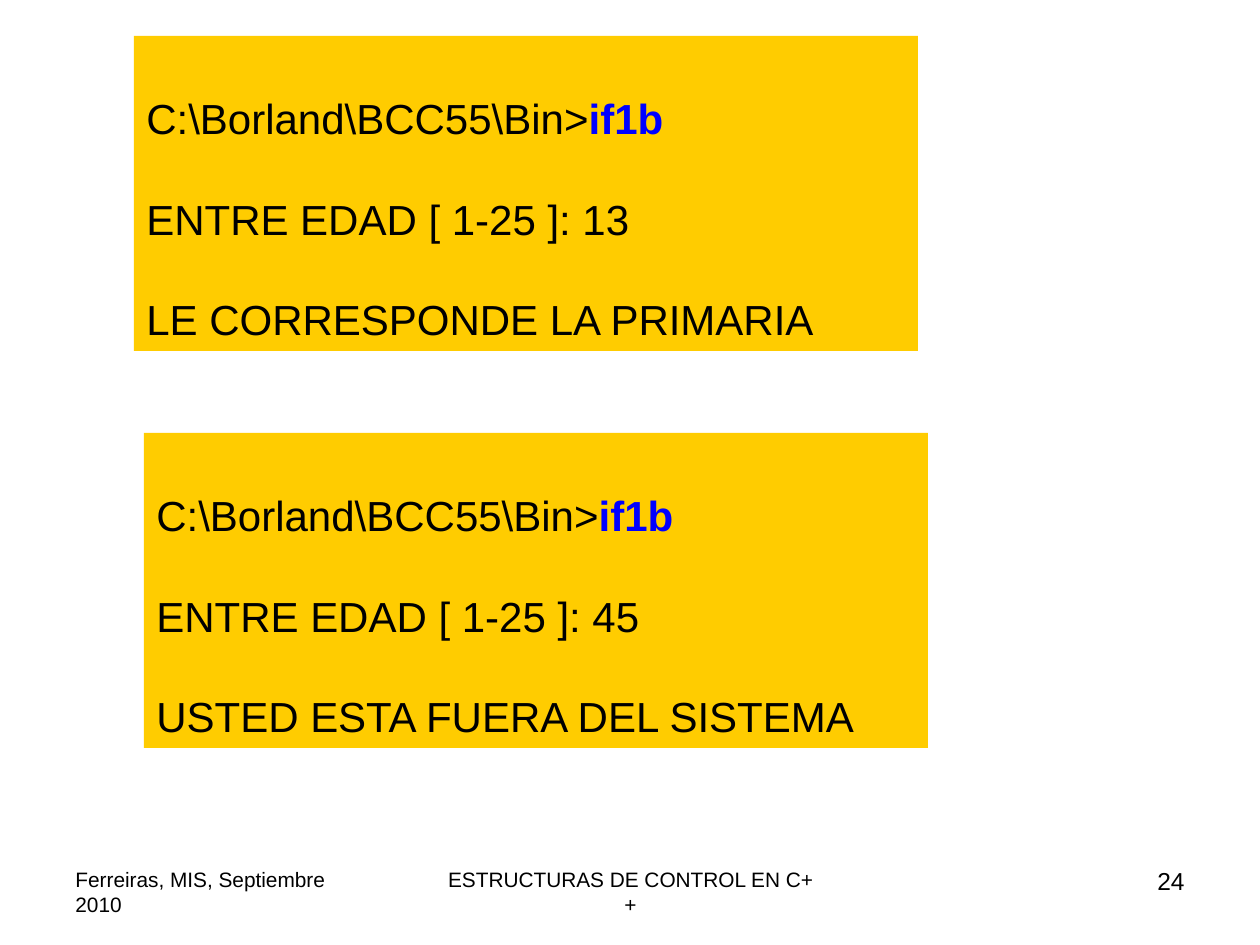
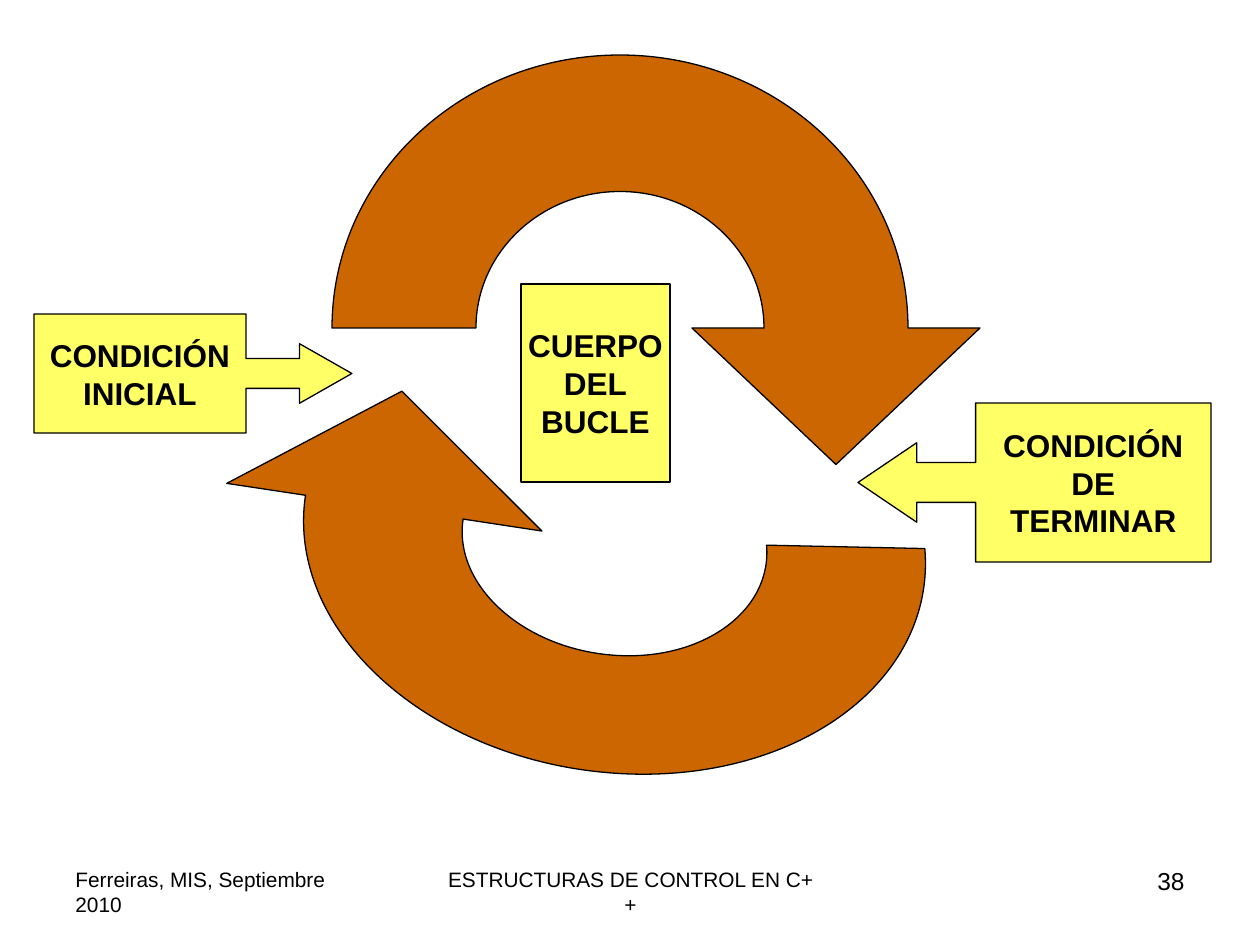
from dataclasses import dataclass
from math import cos, radians, sin, tan

from lxml.etree import SubElement
from pptx import Presentation
from pptx.dml.color import RGBColor
from pptx.enum.shapes import MSO_SHAPE as Shape
from pptx.enum.text import MSO_ANCHOR as Anchor, PP_ALIGN as Align
from pptx.oxml.ns import qn
from pptx.util import Pt

PX = 914400 / 126
FONT = "Arial"
COLORS = {
    "text": "000000",
    "command": "0000FF",
    "console": "FFCC00",
    "cycle": "CC6600",
    "callout": "FFFF66",
    "outline": "000000",
}
FOOTER_TOP, FOOTER_HEIGHT = 860, 66
PROMPT = r"C:\Borland\BCC55\Bin>"
Point = tuple[float, float]


@dataclass(frozen=True)
class Area:
    left: int
    top: int
    width: int
    height: int

    def emu(self) -> list[int]:
        return [px(side) for side in (self.left, self.top, self.width, self.height)]


@dataclass(frozen=True)
class Console:
    area: Area
    age: str
    answer: str


@dataclass(frozen=True)
class Label:
    kind: Shape
    area: Area
    lines: tuple[str, ...]
    adjustments: tuple[float, ...] = ()


@dataclass(frozen=True)
class CycleArrow:
    """Half ring in an ellipse's area; hole is the inner radius as a share of the outer."""
    area: Area
    start: int
    hole: float
    rotation: float = 0


CONSOLES = (
    Console(Area(134, 36, 784, 315), "13", "LE CORRESPONDE LA PRIMARIA"),
    Console(Area(144, 433, 784, 315), "45", "USTED ESTA FUERA DEL SISTEMA"),
)
CYCLE_ARROWS = (
    CycleArrow(Area(332, 55, 576, 546), start=180, hole=0.5),
    CycleArrow(Area(302, 312, 625, 460), start=170, hole=0.49, rotation=188.6),
)
LABELS = (
    Label(Shape.RIGHT_ARROW_CALLOUT, Area(34, 314, 318, 119),
          ("CONDICIÓN", "INICIAL"), (0.25, 0.25, 0.44, 2 / 3)),
    Label(Shape.LEFT_ARROW_CALLOUT, Area(858, 403, 353, 159),
          ("CONDICIÓN", "DE", "TERMINAR"), (0.25, 0.25, 0.37, 2 / 3)),
    Label(Shape.RECTANGLE, Area(521, 284, 149, 198), ("CUERPO", "DEL", "BUCLE")),
)


def px(length: float) -> int:
    return round(length * PX)


def color(name: str) -> RGBColor:
    return RGBColor.from_string(COLORS[name])


def paint(shape, fill: str, outlined: bool = True) -> None:
    shape.shadow.inherit = False
    shape.fill.solid()
    shape.fill.fore_color.rgb = color(fill)
    if outlined:
        shape.line.color.rgb = color("outline")
        shape.line.width = Pt(0.75)
    else:
        shape.line.fill.background()


def add_span(para, text: str, size: float, bold: bool = False, ink: str = "text") -> None:
    span = para.add_run()
    span.text = text
    span.font.name = FONT
    span.font.size = Pt(size)
    span.font.bold = bold
    span.font.color.rgb = color(ink)


def add_para(frame, index: int, align: Align):
    para = frame.add_paragraph() if index else frame.paragraphs[0]
    para.alignment = align
    return para


def add_footer(page, number: str) -> None:
    for left, width, text, size, align in (
        (63, 294, "Ferreiras, MIS, Septiembre 2010", 11.9, Align.LEFT),
        (431, 399, "ESTRUCTURAS DE CONTROL EN C++", 11.9, Align.CENTER),
        (903, 294, number, 14, Align.RIGHT),
    ):
        box = page.shapes.add_textbox(*Area(left, FOOTER_TOP, width, FOOTER_HEIGHT).emu())
        box.text_frame.word_wrap = True
        add_span(add_para(box.text_frame, 0, align), text, size)


def add_console(page, console: Console) -> None:
    box = page.shapes.add_shape(Shape.RECTANGLE, *console.area.emu())
    paint(box, "console", outlined=False)
    frame = box.text_frame
    frame.word_wrap = True
    frame.vertical_anchor = Anchor.TOP
    frame.margin_top = px(57)
    lines = (PROMPT, f"ENTRE EDAD [ 1-25 ]: {console.age}", console.answer)
    for index, line in enumerate(lines):
        para = add_para(frame, index, Align.LEFT)
        if index:
            para.space_before = Pt(28.6)
        add_span(para, line, 24)
        if line == PROMPT:
            add_span(para, "if1b", 24, bold=True, ink="command")


def arc_curves(radius: float, start: float, end: float) -> list[list[Point]]:
    """Cubic curves, each as two controls and an end, for an arc around (0, 0)."""
    middle = (start + end) / 2
    curves = []
    for first, last in ((start, middle), (middle, end)):
        a, b = radians(first), radians(last)
        pull = 4 / 3 * tan((b - a) / 4)
        curves.append([
            (radius * (cos(a) - pull * sin(a)), radius * (sin(a) + pull * cos(a))),
            (radius * (cos(b) + pull * sin(b)), radius * (sin(b) - pull * cos(b))),
            (radius * cos(b), radius * sin(b)),
        ])
    return curves


def add_cycle_arrow(page, arrow: CycleArrow) -> None:
    left, top, width, height = arrow.area.emu()
    builder = page.shapes.build_freeform(left, top)
    builder.add_line_segments(
        [(left + width, top), (left + width, top + height), (left, top + height)])
    shape = builder.convert_to_shape()
    shape.rotation = arrow.rotation
    paint(shape, "cycle")

    outline = next(shape.element.iter(qn("a:path")))
    for step in list(outline):
        outline.remove(step)

    def draw(tag: str, *points: Point) -> None:
        step = SubElement(outline, qn(tag))
        for x, y in points:
            SubElement(step, qn("a:pt"), x=str(round(width * (1 + x) / 2)),
                       y=str(round(height * (1 + y) / 2)))

    thickness = 1 - arrow.hole
    middle = (1 + arrow.hole) / 2
    tail = radians(arrow.start)
    draw("a:moveTo", (arrow.hole, 0))
    for curve in arc_curves(arrow.hole, 360, arrow.start):
        draw("a:cubicBezTo", *curve)
    draw("a:lnTo", (cos(tail), sin(tail)))
    for curve in arc_curves(1, arrow.start, 360):
        draw("a:cubicBezTo", *curve)
    for corner in ((middle + thickness, 0), (middle, thickness), (middle - thickness, 0)):
        draw("a:lnTo", corner)
    draw("a:close")


def add_label(page, label: Label) -> None:
    shape = page.shapes.add_shape(label.kind, *label.area.emu())
    for index, value in enumerate(label.adjustments):
        shape.adjustments[index] = value
    paint(shape, "callout")
    frame = shape.text_frame
    frame.word_wrap = False
    frame.vertical_anchor = Anchor.MIDDLE
    for index, line in enumerate(label.lines):
        add_span(add_para(frame, index, Align.CENTER), line, 18, bold=True)


def add_page(deck, number: str):
    page = deck.slides.add_slide(deck.slide_layouts[6])
    add_footer(page, number)
    return page


def main() -> None:
    deck = Presentation()
    deck.slide_width, deck.slide_height = px(1260), px(945)

    console_page = add_page(deck, "24")
    for console in CONSOLES:
        add_console(console_page, console)

    loop_page = add_page(deck, "38")
    for arrow in CYCLE_ARROWS:
        add_cycle_arrow(loop_page, arrow)
    for label in LABELS:
        add_label(loop_page, label)

    deck.save("out.pptx")


if __name__ == "__main__":
    main()
